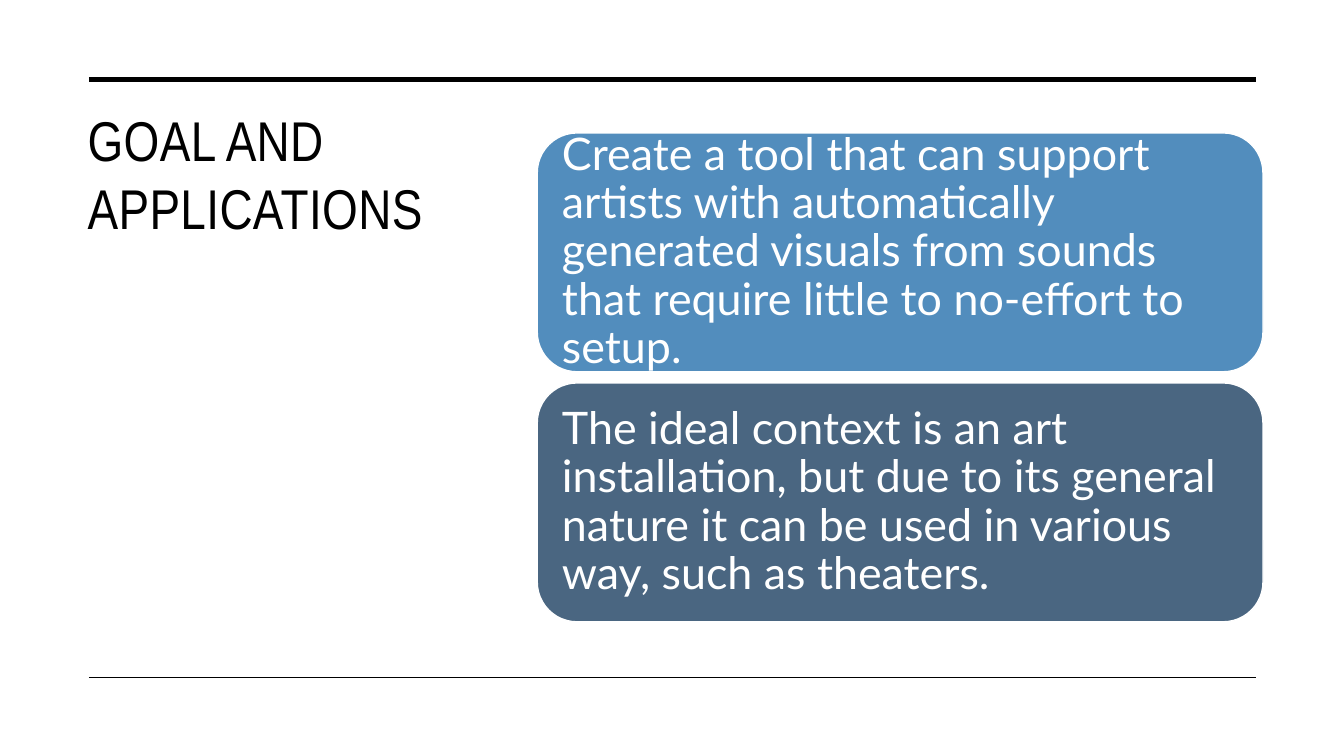
from dataclasses import dataclass

from pptx import Presentation
from pptx.dml.color import RGBColor
from pptx.enum.shapes import MSO_CONNECTOR, MSO_SHAPE
from pptx.enum.text import MSO_ANCHOR, PP_ALIGN
from pptx.oxml.ns import qn
from pptx.shapes.autoshape import Shape
from pptx.slide import Slide
from pptx.util import Cm, Pt

STRAIGHT = MSO_CONNECTOR.STRAIGHT
ROUND = MSO_SHAPE.ROUNDED_RECTANGLE
TOP = MSO_ANCHOR.TOP
MIDDLE = MSO_ANCHOR.MIDDLE
LEFT = PP_ALIGN.LEFT


@dataclass(frozen=True)
class Theme:
    ink: str = "000000"
    paper: str = "FFFFFF"
    blue: str = "528DBD"
    slate: str = "4A6681"
    head_font: str = "Arial Narrow"
    body_font: str = "Lato"
    head_size: float = 40
    body_size: float = 32


@dataclass(frozen=True)
class Rule:
    top: float
    weight: float


@dataclass(frozen=True)
class Card:
    text: str
    fill: str


THEME = Theme()
RULES = [Rule(2.01, 3.5), Rule(17.07, 1)]
CARDS = [
    Card("Create a tool that can support artists with automatically generated "
         "visuals from sounds that require little to no-effort to setup.",
         THEME.blue),
    Card("The ideal context is an art installation, but due to its general "
         "nature it can be used in various way, such as theaters.",
         THEME.slate),
]
CARD_TOP = 3.35
CARD_STEP = 6.3


def color(code: str) -> RGBColor:
    return RGBColor.from_string(code)


def write(shape: Shape, text: str, *, font: str, size: float, ink: str,
          anchor: MSO_ANCHOR = TOP, inset: tuple[float, float] = (0.25, 0.13),
          spacing: float = 1.0, track: int = 0) -> None:
    frame = shape.text_frame
    frame.word_wrap = True
    frame.vertical_anchor = anchor
    frame.margin_left = frame.margin_right = Cm(inset[0])
    frame.margin_top = frame.margin_bottom = Cm(inset[1])
    para = frame.paragraphs[0]
    para.alignment = LEFT
    para.line_spacing = spacing
    run = para.add_run()
    run.text = text
    run.font.name = font
    run.font.size = Pt(size)
    run.font.color.rgb = color(ink)
    if track:
        run.font._element.set("spc", str(track))


def draw_rule(slide: Slide, rule: Rule) -> None:
    line = slide.shapes.add_connector(
        STRAIGHT, Cm(2.24), Cm(rule.top), Cm(31.65), Cm(rule.top))
    line.line.color.rgb = color(THEME.ink)
    line.line.width = Pt(rule.weight)
    props = line._element.spPr
    props.append(props.makeelement(qn("a:effectLst"), {}))


def draw_title(slide: Slide) -> None:
    box = slide.shapes.add_textbox(Cm(1.96), Cm(2.54), Cm(10.16), Cm(12.24))
    write(box, "GOAL AND APPLICATIONS", font=THEME.head_font,
          size=THEME.head_size, ink=THEME.ink, track=30)


def draw_card(slide: Slide, card: Card, top: float) -> None:
    shape = slide.shapes.add_shape(
        ROUND, Cm(13.54), Cm(top), Cm(18.29), Cm(6.02))
    shape.shadow.inherit = False
    shape.fill.solid()
    shape.fill.fore_color.rgb = color(card.fill)
    shape.line.color.rgb = color(THEME.paper)
    shape.line.width = Pt(1)
    write(shape, card.text, font=THEME.body_font, size=THEME.body_size,
          ink=THEME.paper, anchor=MIDDLE, inset=(0.33, 0.33), spacing=0.9)


def main() -> None:
    deck = Presentation()
    deck.slide_width = Cm(33.87)
    deck.slide_height = Cm(19.05)
    slide = deck.slides.add_slide(deck.slide_layouts[6])
    for rule in RULES:
        draw_rule(slide, rule)
    draw_title(slide)
    for row, card in enumerate(CARDS):
        draw_card(slide, card, CARD_TOP + row * CARD_STEP)
    deck.save("out.pptx")


if __name__ == "__main__":
    main()
